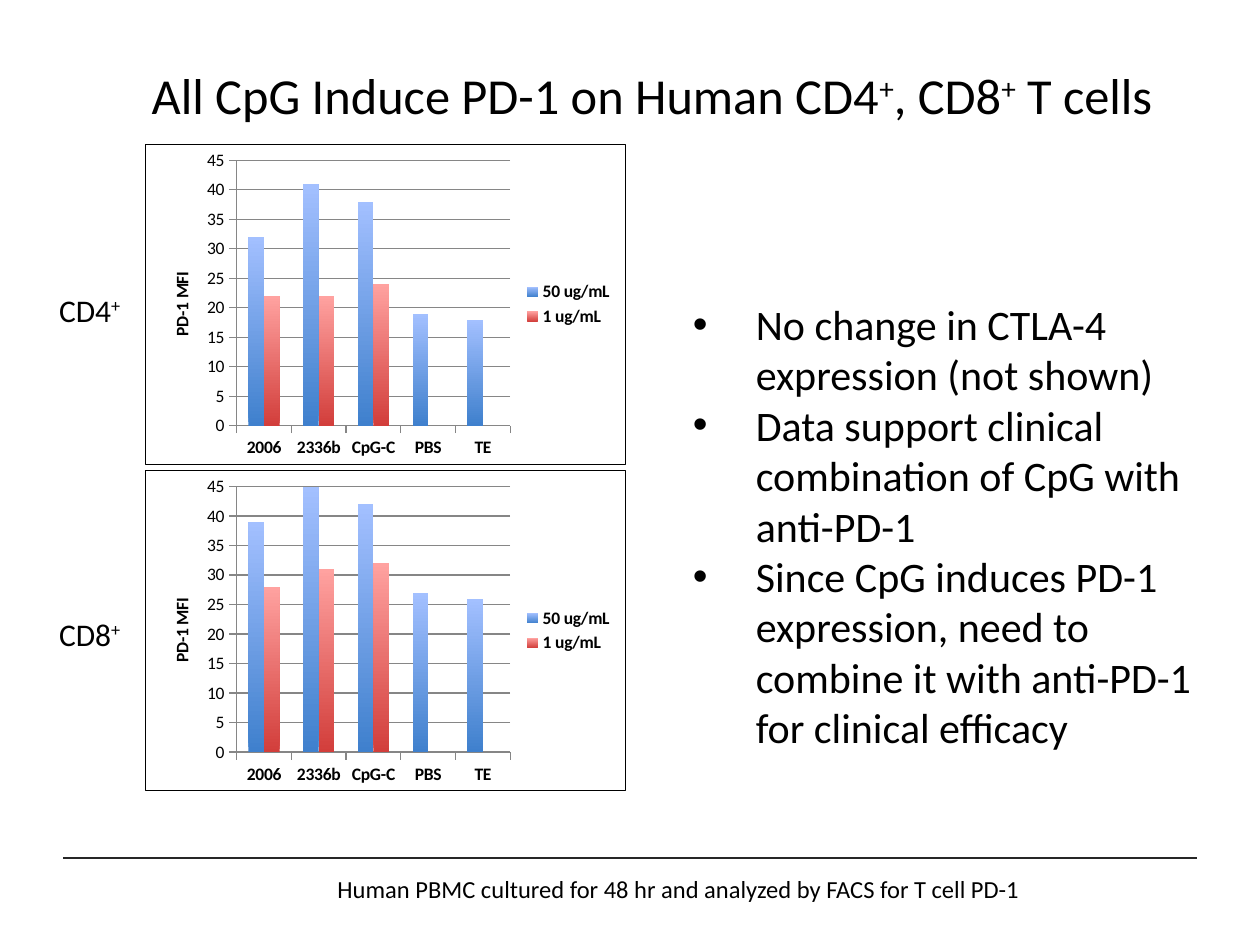
from lxml import etree
from pptx import Presentation
from pptx.chart.data import CategoryChartData as Data
from pptx.dml.color import RGBColor as RGB
from pptx.enum.chart import XL_CHART_TYPE as Kind, XL_LEGEND_POSITION as Pos, XL_TICK_MARK as Tick
from pptx.enum.shapes import MSO_CONNECTOR as Conn
from pptx.enum.text import MSO_ANCHOR as Anchor, MSO_AUTO_SIZE as Fit, PP_ALIGN as Align
from pptx.oxml import parse_xml
from pptx.oxml.ns import nsdecls, qn
from pptx.util import Inches, Pt

HUES = {"ink": "000000", "rule": "262626", "grid": "868686"}
FADES = [("3F80CD", "A3C0FF"), ("D23E3B", "FFA2A0")]


def style(font, size, bold=False):
    font.name = "Calibri"
    font.size = Pt(size)
    font.bold = bold
    font.color.rgb = RGB.from_string(HUES["ink"])


def write(para, parts, size):
    for i, part in enumerate(parts):
        run = para.add_run()
        run.text = part
        if i % 2:
            run._r.get_or_add_rPr().set("baseline", "30000")
    style(para.font, size)


deck = Presentation()
deck.slide_width, deck.slide_height = Inches(10), Inches(7.5)
slide = deck.slides.add_slide(deck.slide_layouts[5])
shapes = slide.shapes

rule = shapes.add_connector(Conn.STRAIGHT, Inches(0.5), Inches(6.81), Inches(9.5), Inches(6.81))
rule.line.color.rgb = RGB.from_string(HUES["rule"])
rule.line.width = Pt(0.75)
etree.SubElement(rule._element.spPr, qn("a:effectLst"))

title = shapes.title
title.left, title.top, title.width, title.height = Inches(0.85), Inches(0.3), Inches(8.65), Inches(0.9)
frame = title.text_frame
frame.auto_size = Fit.NONE
frame.vertical_anchor = Anchor.MIDDLE
head = frame.paragraphs[0]
head.alignment = Align.CENTER
write(head, ["All CpG Induce PD-1 on Human CD4", "+", ", CD8", "+", " T cells"], 28.8)

panels = [
    ("CD4", 1.14, 2.26, [32, 41, 38, 19, 18], [22, 22, 24, None, None]),
    ("CD8", 3.73, 4.83, [39, 45, 42, 27, 26], [28, 31, 32, None, None]),
]
for cell, top, mid, high, low in panels:
    data = Data()
    data.categories = ["2006", "2336b", "CpG-C", "PBS", "TE"]
    data.add_series("50 ug/mL", high)
    data.add_series("1 ug/mL", low)
    chart = shapes.add_chart(Kind.COLUMN_CLUSTERED, Inches(1.15), Inches(top),
                             Inches(3.82), Inches(2.55), data).chart
    style(chart.font, 10)
    chart.has_title = False
    chart.has_legend = True
    chart.legend.position = Pos.RIGHT
    chart.legend.include_in_layout = False
    style(chart.legend.font, 10, True)

    plot = chart.plots[0]
    plot.gap_width, plot.overlap = 150, 0
    plot.vary_by_categories = False
    for bars, (dark, light) in zip(plot.series, FADES):
        bars.invert_if_negative = False
        fill = bars.format.fill
        fill.gradient()
        fill.gradient_angle = 90
        for stop, hue in zip(fill.gradient_stops, (dark, light)):
            stop.color.rgb = RGB.from_string(hue)

    cats, vals = chart.category_axis, chart.value_axis
    style(cats.tick_labels.font, 10, True)
    vals.minimum_scale, vals.maximum_scale, vals.major_unit = 0, 45, 5
    vals.has_major_gridlines = True
    for line in (cats.format.line, vals.format.line, vals.major_gridlines.format.line):
        line.color.rgb = RGB.from_string(HUES["grid"])
        line.width = Pt(0.75)
    for axis in (cats, vals):
        axis.major_tick_mark = Tick.OUTSIDE
    vals.has_title = True
    name = vals.axis_title.text_frame.paragraphs[0]
    name.text = "PD-1 MFI"
    style(name.font, 10, True)

    area = chart._chartSpace.chart.plotArea
    for old in area.findall(qn("c:layout")):
        area.remove(old)
    sides = "".join(f'<c:{k} val="{v}"/>' for k, v in
                    [("layoutTarget", "inner"), ("xMode", "edge"), ("yMode", "edge"),
                     ("x", 0.19), ("y", 0.05), ("w", 0.57), ("h", 0.83)])
    area.insert(0, parse_xml(f'<c:layout {nsdecls("c")}><c:manualLayout>{sides}</c:manualLayout></c:layout>'))
    chart._chartSpace.find(qn("c:txPr")).addprevious(parse_xml(
        f'<c:spPr {nsdecls("c", "a")}><a:noFill/><a:ln w="9525"><a:solidFill>'
        f'<a:srgbClr val="{HUES["ink"]}"/></a:solidFill></a:ln></c:spPr>'))

    label = shapes.add_textbox(Inches(0.37), Inches(mid), Inches(0.71), Inches(0.4))
    label.text_frame.word_wrap = False
    write(label.text_frame.paragraphs[0], [cell, "+"], 18)

points = [
    "No change in CTLA-4 expression (not shown)",
    "Data support clinical combination of CpG with anti-PD-1",
    "Since CpG induces PD-1 expression, need to combine it with anti-PD-1 for clinical efficacy",
]
frame = shapes.add_textbox(Inches(5.4), Inches(2.32), Inches(4.22), Inches(3.74)).text_frame
frame.word_wrap = True
for i, point in enumerate(points):
    para = frame.add_paragraph() if i else frame.paragraphs[0]
    props = para._p.get_or_add_pPr()
    props.set("marL", str(Inches(0.5)))
    props.set("indent", str(-Inches(0.5)))
    etree.SubElement(props, qn("a:buFont")).set("typeface", "Arial")
    etree.SubElement(props, qn("a:buChar")).set("char", "•")
    write(para, [point], 24)

note = shapes.add_textbox(Inches(2.58), Inches(6.89), Inches(5.69), Inches(0.34))
note.text_frame.word_wrap = False
write(note.text_frame.paragraphs[0],
      ["Human PBMC cultured for 48 hr and analyzed by FACS for T cell PD-1"], 14)

deck.save("out.pptx")
